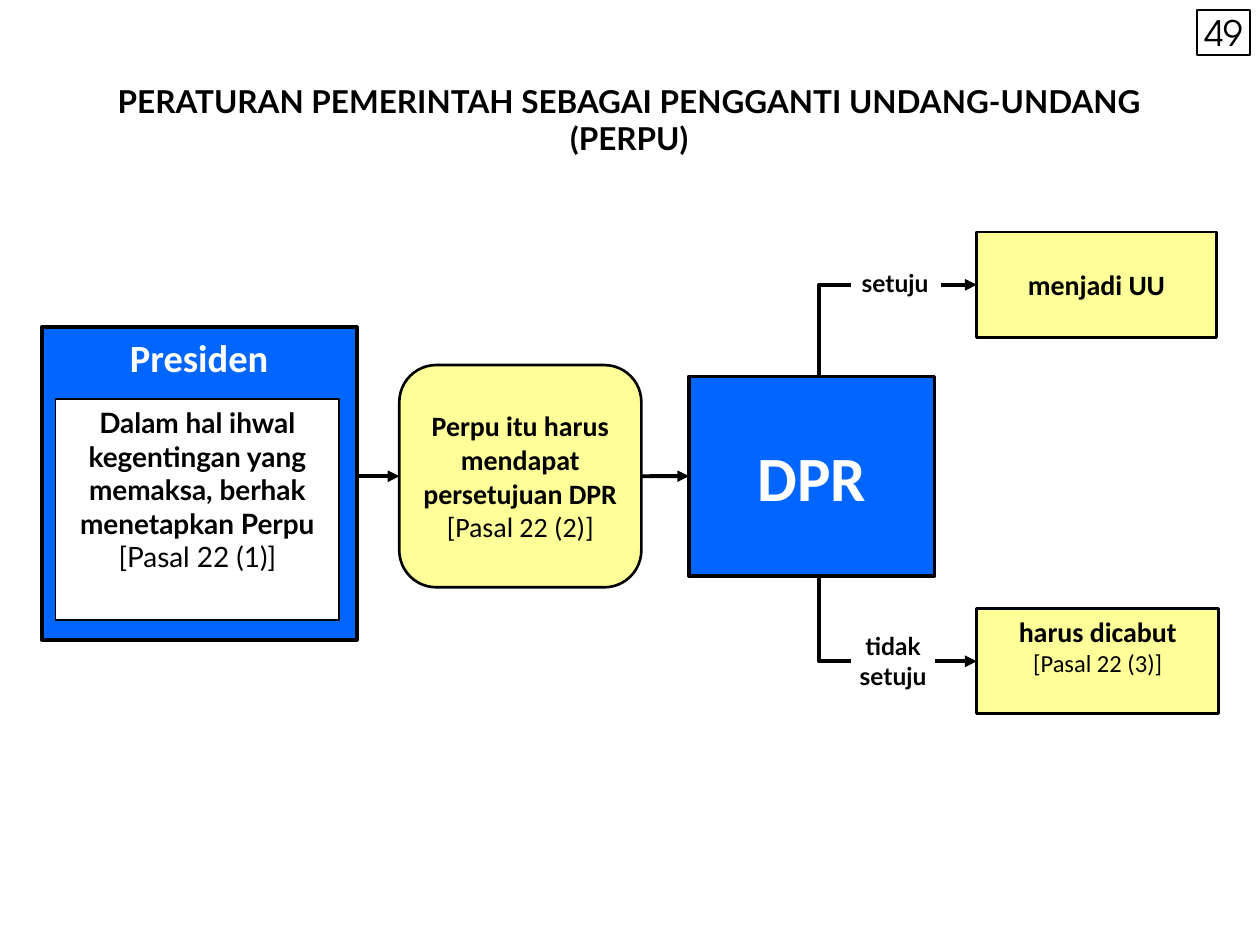
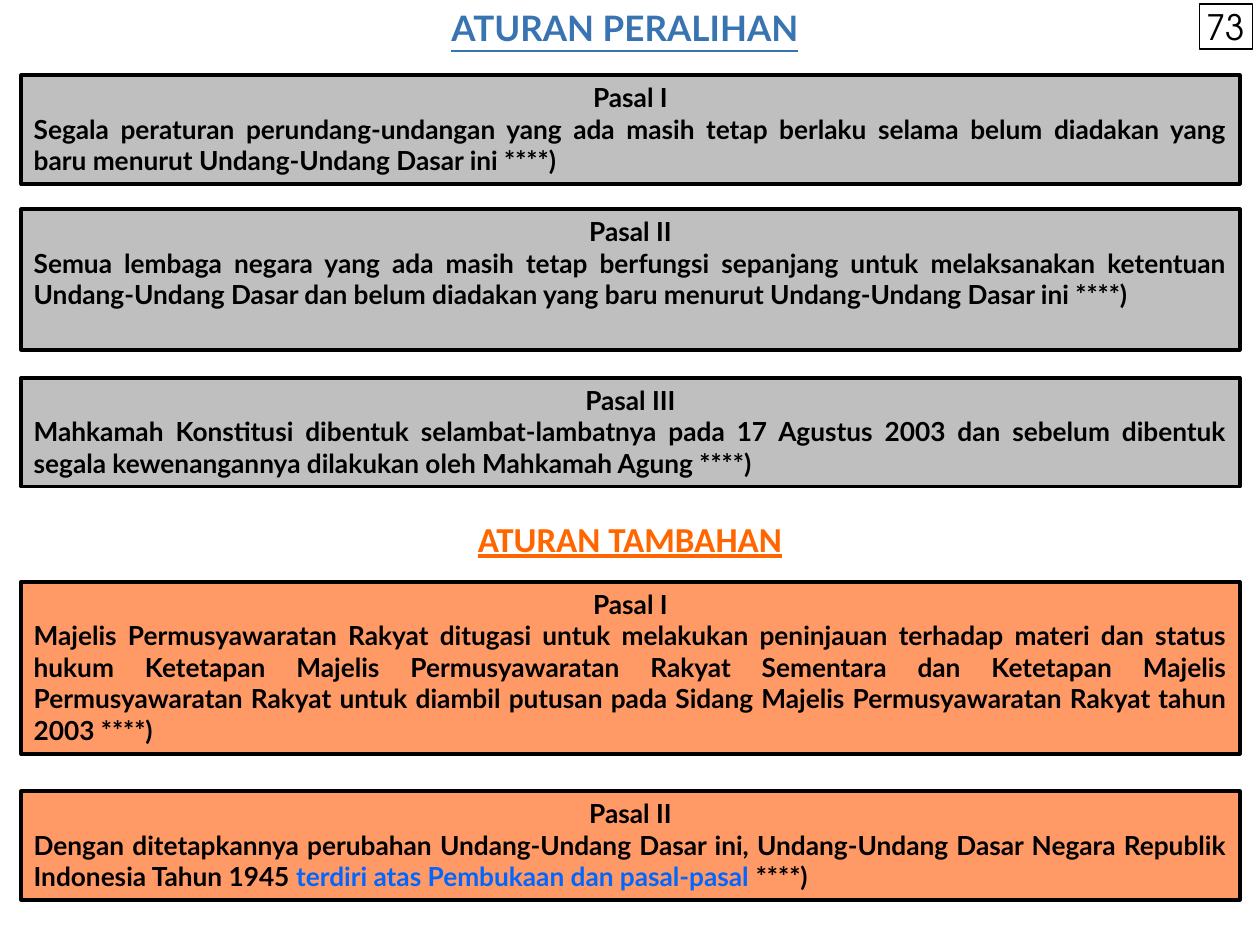
import dataclasses
import pptx
import pptx.dml.color
import pptx.enum.shapes
import pptx.enum.text
import pptx.oxml
import pptx.oxml.ns
import pptx.util

Cm = pptx.util.Cm
Pt = pptx.util.Pt
Kind = pptx.enum.shapes.MSO_SHAPE
Align = pptx.enum.text.PP_ALIGN
Anchor = pptx.enum.text.MSO_ANCHOR


@dataclasses.dataclass(frozen=True)
class Theme:
    black: str = "000000"
    white: str = "FFFFFF"
    blue: str = "0066FF"
    cream: str = "FFFF99"
    gray: str = "BFBFBF"
    peach: str = "FF9966"
    steel: str = "3774B1"
    orange: str = "FF6600"
    main: str = "Lato"
    plain: str = "Calibri"
    digit: str = "TeX Gyre Adventor"
    huge: int = 36
    large: int = 22
    head: int = 20
    title: int = 18
    body: int = 16
    rule: int = 15
    small: int = 14
    thick: float = 2.25
    mid: float = 1.5
    thin: float = 1
    hair: float = 0.75


T = Theme()

# Flow slide: a paragraph is (text, size, bold)
TITLE = [("PERATURAN PEMERINTAH SEBAGAI PENGGANTI UNDANG-UNDANG", T.title, True),
         ("(PERPU)", T.title, True)]
RIGHT = [("Dalam hal ihwal kegentingan yang memaksa, berhak menetapkan Perpu", T.body, True),
         ("[Pasal 22 (1)]", T.body, False)]
CONSENT = [("Perpu itu harus mendapat persetujuan DPR", T.body, True),
           ("[Pasal 22 (2)]", T.body, False)]
# Each branch: label, label box, no-wrap, arrow start, result, box, anchor
BRANCHES = [
    dict(label=["setuju"], spot=(16.79, 5.28, 2.51, 0.84), start=18.97,
         result=[("menjadi UU", T.body, True)],
         box=(19.69, 4.68, 4.83, 2.12), anchor=Anchor.MIDDLE),
    dict(label=["tidak", "setuju"], spot=(17.22, 12.73, 1.57, 1.19), start=18.85,
         result=[("harus dicabut", T.body, True), ("[Pasal 22 (3)]", T.small, False)],
         box=(19.69, 12.27, 4.88, 2.12), anchor=Anchor.TOP),
]

# Rules slide: top, lines, heading, text runs as (text, colour)
INTERIM = [
    (1.52, 3, "Pasal I", [("Segala peraturan perundang-undangan yang ada masih tetap berlaku selama belum diadakan yang baru menurut Undang-Undang Dasar ini ****)", T.black)]),
    (4.22, 4, "Pasal II", [("Semua lembaga negara yang ada masih tetap berfungsi sepanjang untuk melaksanakan ketentuan Undang-Undang Dasar dan belum diadakan yang baru menurut Undang-Undang Dasar ini ****)", T.black)]),
    (7.62, 3, "Pasal III", [("Mahkamah Konstitusi dibentuk selambat-lambatnya pada 17 Agustus 2003 dan sebelum dibentuk segala kewenangannya dilakukan oleh Mahkamah Agung ****)", T.black)]),
]
EXTRA = [
    (11.73, 5, "Pasal I", [("Majelis Permusyawaratan Rakyat ditugasi untuk melakukan peninjauan terhadap materi dan status hukum Ketetapan Majelis Permusyawaratan Rakyat Sementara dan Ketetapan Majelis Permusyawaratan Rakyat untuk diambil putusan pada Sidang Majelis Permusyawaratan Rakyat tahun 2003 ****)", T.black)]),
    (15.95, 3, "Pasal II", [
        ("Dengan ditetapkannya perubahan Undang-Undang Dasar ini, Undang-Undang Dasar Negara Republik Indonesia Tahun 1945 ", T.black),
        ("terdiri atas Pembukaan dan pasal-pasal", T.blue), (" ****)", T.black)]),
]


def rgb(code):
    return pptx.dml.color.RGBColor.from_string(code)


def style(font, size, color=T.black, face=T.main, bold=True, under=False):
    font.name, font.size, font.bold = face, Pt(size), bold
    font.color.rgb = rgb(color)
    if under:
        font.underline = True


def ink(line, width):
    line.color.rgb = rgb(T.black)
    line.width = Pt(width)


def box(slide, place, fill=None, width=T.thick, kind=Kind.RECTANGLE):
    shape = slide.shapes.add_shape(kind, *map(Cm, place))
    shape.shadow.inherit = False
    if fill:
        shape.fill.solid()
        shape.fill.fore_color.rgb = rgb(fill)
    else:
        shape.fill.background()
    ink(shape.line, width)
    return shape


def label(slide, place):
    return slide.shapes.add_textbox(*map(Cm, place))


def write(shape, paras, anchor=Anchor.TOP, inset=True, wrap=True, **look):
    """Fill a shape with centred (text, size, bold) paragraphs."""
    frame = shape.text_frame
    frame.word_wrap, frame.vertical_anchor = wrap, anchor
    if not inset:
        frame.margin_left = frame.margin_right = 0
        frame.margin_top = frame.margin_bottom = 0
    frame.text = "\n".join(text for text, _, _ in paras)
    for para, (_, size, bold) in zip(frame.paragraphs, paras):
        para.alignment = Align.CENTER
        for run in para.runs:
            style(run.font, size, bold=bold, **look)


def arrow(slide, left, right, y, source=None, target=None):
    link = slide.shapes.add_connector(
        pptx.enum.shapes.MSO_CONNECTOR.STRAIGHT, Cm(left), Cm(y), Cm(right), Cm(y))
    if source:
        link.begin_connect(source, 3)
    if target:
        link.end_connect(target, 1)
    ink(link.line, T.thick)
    tip = pptx.oxml.parse_xml(
        '<a:tailEnd %s type="triangle"/>' % pptx.oxml.ns.nsdecls("a"))
    link.line._get_or_add_ln().append(tip)
    link._element.spPr.append(
        pptx.oxml.parse_xml("<a:effectLst %s/>" % pptx.oxml.ns.nsdecls("a")))


def elbow(slide, x, base, turn, end):
    path = slide.shapes.build_freeform(Cm(x), Cm(base))
    path.add_line_segments([(Cm(x), Cm(turn)), (Cm(end), Cm(turn))], close=False)
    bend = path.convert_to_shape()
    bend.shadow.inherit = False
    bend.fill.background()
    ink(bend.line, T.thick)


def number(slide, text, left, top):
    mark = box(slide, (left, top, 1.07, 0.91), width=T.hair)
    write(mark, [(text, T.head, False)], Anchor.MIDDLE, inset=False, face=T.digit)


def flow(slide):
    axis = 9.6
    write(label(slide, (0.2, 1.52, 24.97, 1.85)), TITLE)
    number(slide, "49", 24.13, 0.2)

    chief = box(slide, (0.84, 6.6, 6.35, 6.3), T.blue)
    write(chief, [("Presiden", T.large, True)], color=T.white, face=T.plain)
    write(box(slide, (1.12, 8.05, 5.72, 4.45), T.white, T.thin), RIGHT)

    tall = 4.48
    consent = box(slide, (8.05, axis - tall / 2, 4.88, tall), T.cream, T.mid,
                  Kind.ROUNDED_RECTANGLE)
    write(consent, CONSENT, Anchor.MIDDLE, face=T.plain)

    high = 4.02
    house = box(slide, (13.89, axis - high / 2, 4.95, high), T.blue)
    write(house, [("DPR", T.huge, True)], Anchor.MIDDLE, color=T.white, face=T.plain)

    arrow(slide, 7.19, 8.05, axis, target=consent)
    arrow(slide, 12.93, 13.89, axis, consent, house)

    for branch, side in zip(BRANCHES, (-1, 1)):
        left, top, _, height = branch["box"]
        y = top + height / 2
        end = box(slide, branch["box"], T.cream, T.mid)
        write(end, branch["result"], branch["anchor"], face=T.plain)
        single = len(branch["label"]) == 1
        write(label(slide, branch["spot"]),
              [(text, T.small, True) for text in branch["label"]],
              inset=single, wrap=single)
        elbow(slide, 16.51, axis + side * high / 2, y, 17.15)
        arrow(slide, branch["start"], left, y, target=end)


def article(slide, fill, top, lines, head, runs):
    shape = box(slide, (0.43, top, 24.56, 0.27 + 0.64 * lines), fill)
    write(shape, [(head, T.rule, True)])
    para = shape.text_frame.add_paragraph()
    para.alignment = Align.JUSTIFY
    for text, color in runs:
        run = para.add_run()
        run.text = text
        style(run.font, T.rule, color)


def rules(slide):
    write(label(slide, (0, 0, 25.2, 1.12)), [("ATURAN PERALIHAN", T.head, True)],
          Anchor.MIDDLE, color=T.steel, under=True)
    number(slide, "73", 24.18, 0.08)
    write(label(slide, (0, 10.08, 25.4, 1.55)), [("ATURAN TAMBAHAN", T.head, True)],
          Anchor.MIDDLE, inset=False, color=T.orange, face=T.plain, under=True)
    for fill, group in ((T.gray, INTERIM), (T.peach, EXTRA)):
        for item in group:
            article(slide, fill, *item)


def main():
    deck = pptx.Presentation()
    deck.slide_width, deck.slide_height = Cm(25.4), Cm(19.05)
    for build in (flow, rules):
        build(deck.slides.add_slide(deck.slide_layouts[6]))
    deck.save("out.pptx")


if __name__ == "__main__":
    main()
